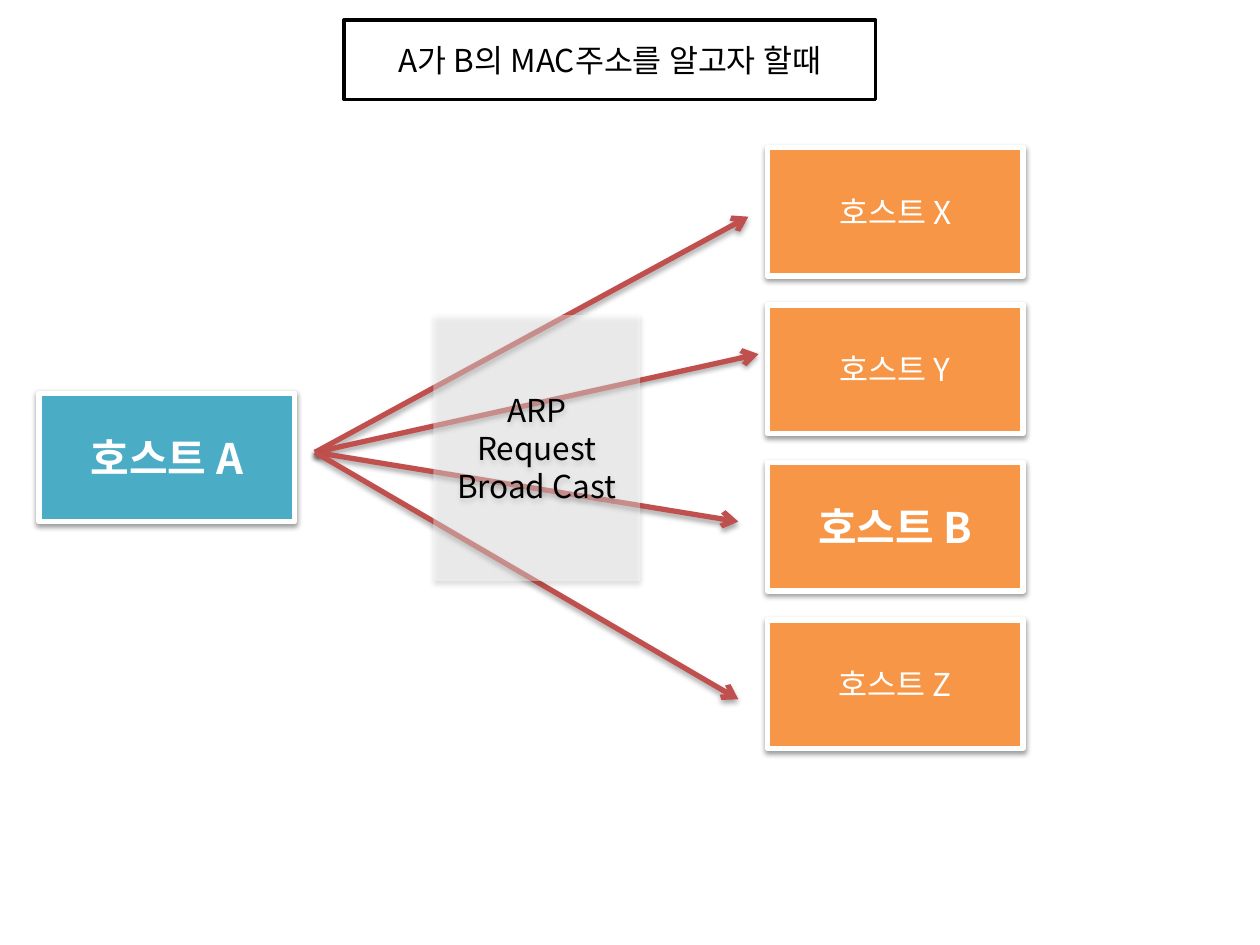
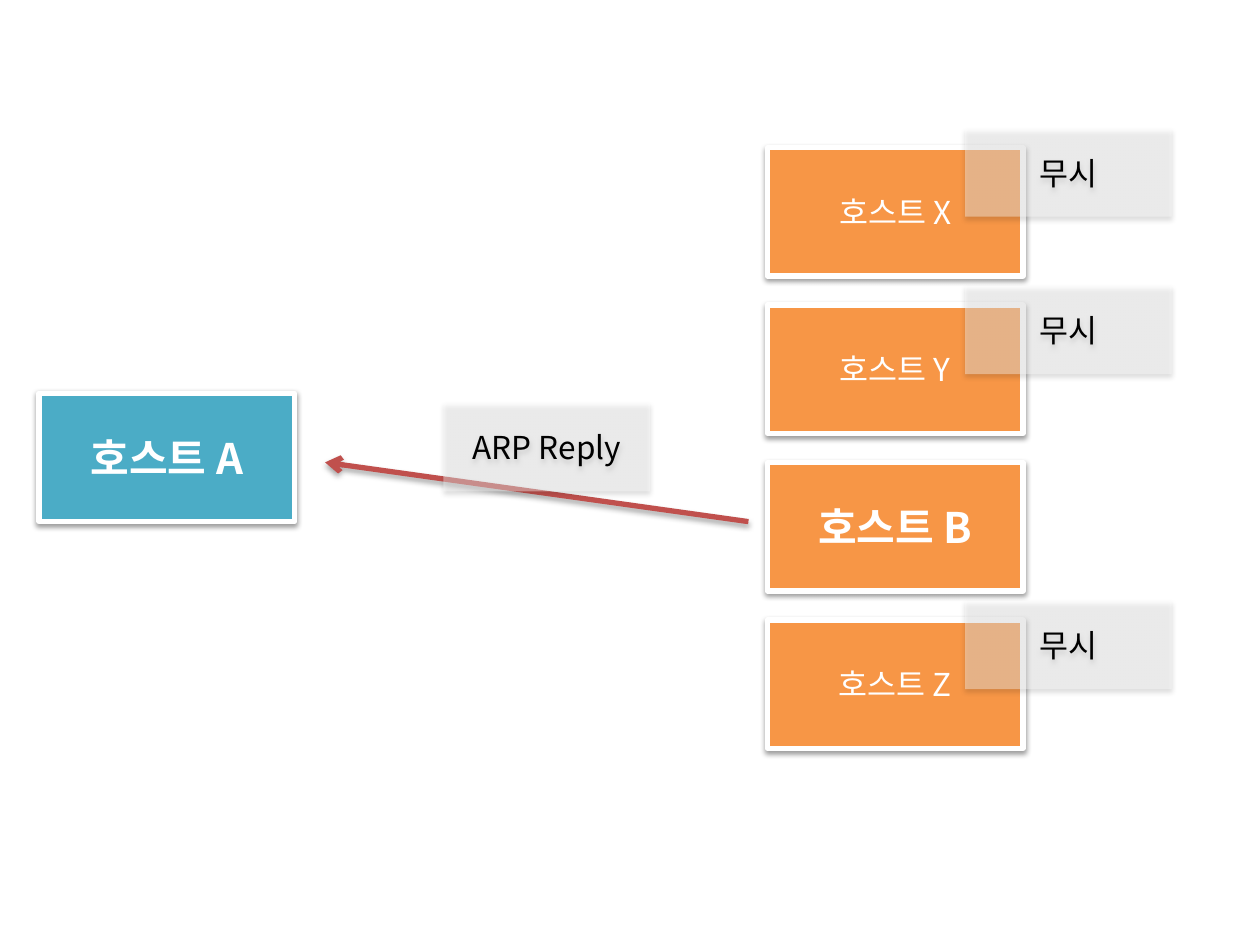
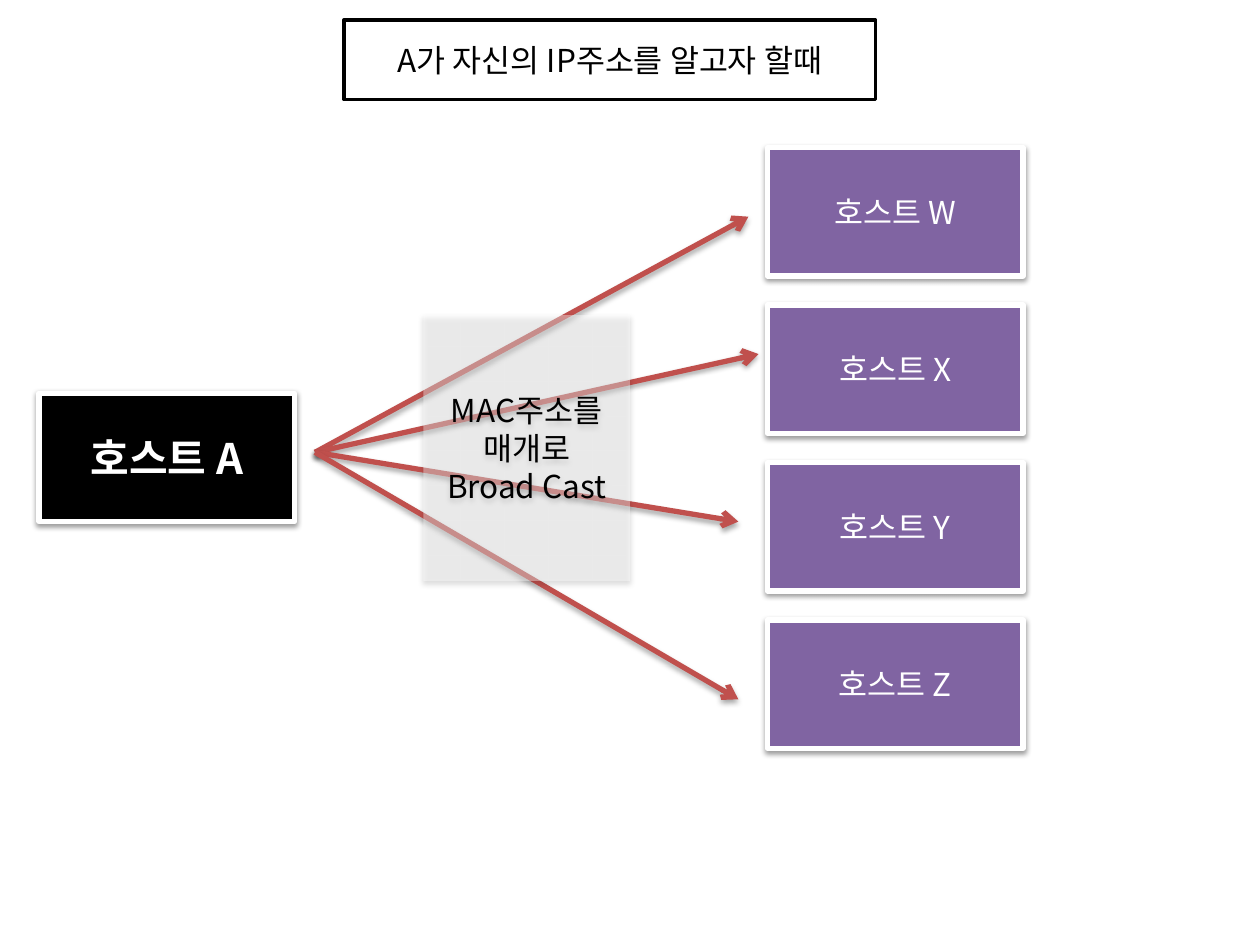
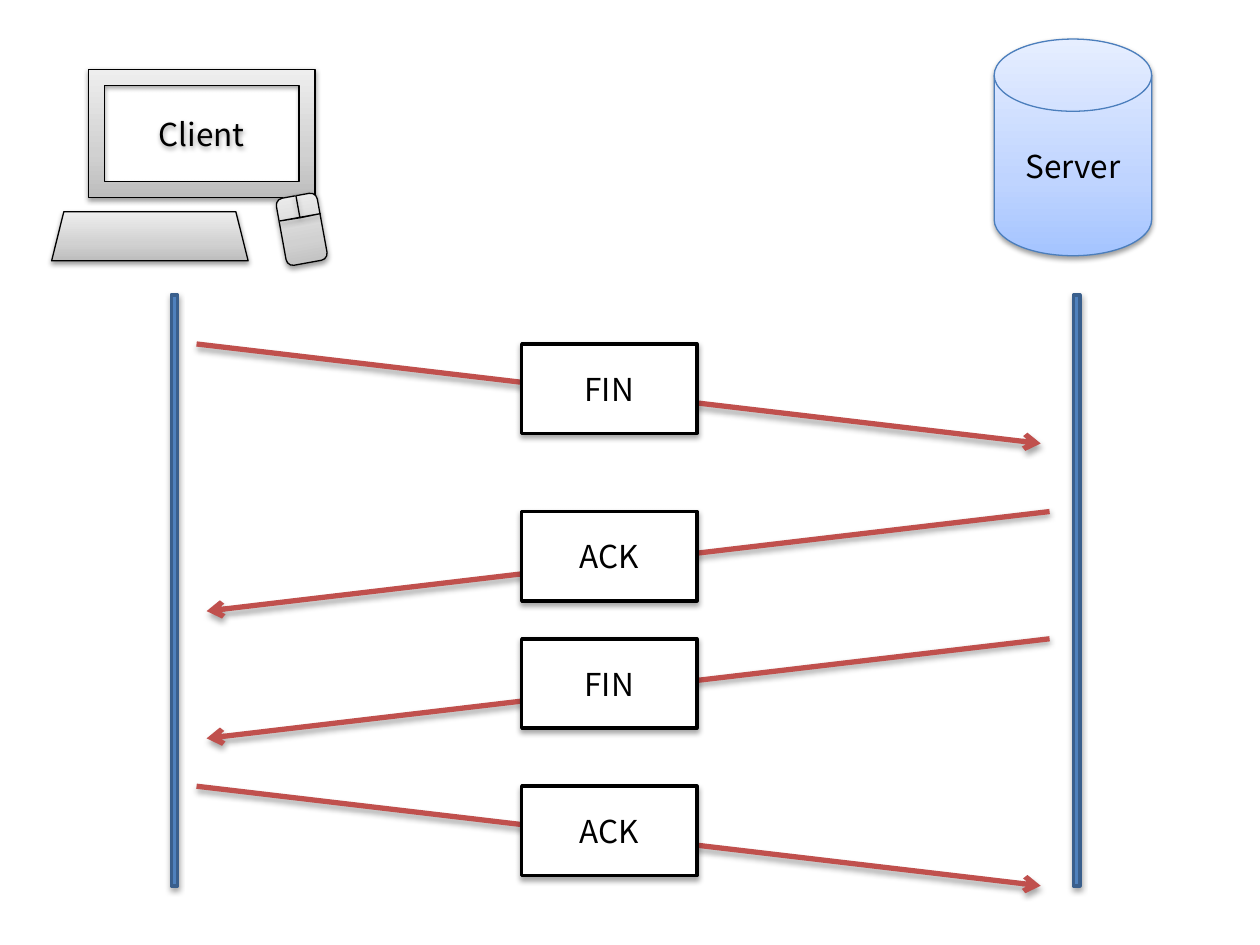
"""Builds four slides on ARP, RARP and closing a TCP connection."""
import collections
import copy

import lxml.etree
import pptx
import pptx.dml.color
import pptx.enum.shapes
import pptx.enum.text
import pptx.oxml.ns
import pptx.util

Inches = pptx.util.Inches
Pt = pptx.util.Pt
RGBColor = pptx.dml.color.RGBColor
MSO_SHAPE = pptx.enum.shapes.MSO_SHAPE
qn = pptx.oxml.ns.qn

FONT = "Noto Sans CJK KR"
WHITE = RGBColor(0xFF, 0xFF, 0xFF)
BLACK = RGBColor(0, 0, 0)
TEAL = RGBColor(0x4B, 0xAC, 0xC6)
ORANGE = RGBColor(0xF7, 0x96, 0x46)
PURPLE = RGBColor(0x80, 0x64, 0xA2)
RED = RGBColor(0xC0, 0x50, 0x4D)
BLUE = RGBColor(0x4F, 0x81, 0xBD)
DARK_BLUE = RGBColor(0x3A, 0x5F, 0x8C)
SERVER_LINE = RGBColor(0x4B, 0x7E, 0xBC)
SERVER_SHADES = (RGBColor(0xA4, 0xC4, 0xFF), RGBColor(0xBF, 0xD4, 0xFF), RGBColor(0xE6, 0xEE, 0xFF))
GREY_SHADES = (RGBColor(0xBD, 0xBD, 0xBD), RGBColor(0xD1, 0xD1, 0xD1), RGBColor(0xEE, 0xEE, 0xEE))
SHADE_POSITIONS = (0, 0.35, 1)

SOLID_SHADOW = (38, Pt(1.6))
SOFT_SHADOW = (35, Pt(1.8))
SHADOW_BLUR = Pt(3.1)
MOUSE_TILT = -10.3
TITLE_LAYOUT = 5
BLANK_LAYOUT = 6

Box = collections.namedtuple("Box", "left top width height")


def inch_box(left, top, width, height):
    """Return a box given in inches."""
    return Box(Inches(left), Inches(top), Inches(width), Inches(height))


def part_of(box, left, top, width, height):
    """Return a box whose corner is offset in inches from the corner of another."""
    return Box(box.left + Inches(left), box.top + Inches(top), Inches(width), Inches(height))


TITLE_BOX = inch_box(2.73, 0.16, 4.22, 0.63)
SENDER_BOX = inch_box(0.31, 3.12, 2.03, 1.02)
HOSTS_BOX = inch_box(6.09, 1.17, 2.03, 4.77)
FAN_BOX = inch_box(2.5, 1.72, 3.52, 3.83)


def add_shadow(shape, opacity, distance):
    """Give a shape or connector a soft shadow falling straight down."""
    effects = lxml.etree.SubElement(shape._element.spPr, qn("a:effectLst"))
    shadow = lxml.etree.SubElement(
        effects, qn("a:outerShdw"), blurRad=str(SHADOW_BLUR), dist=str(distance),
        dir="5400000", rotWithShape="0")
    color = lxml.etree.SubElement(shadow, qn("a:srgbClr"), val=str(BLACK))
    lxml.etree.SubElement(color, qn("a:alpha"), val=str(opacity * 1000))


def write_text(shape, text, color=BLACK, size=18, bold=False):
    """Write centred text in the middle of a shape."""
    frame = shape.text_frame
    frame.text = text
    frame.word_wrap = True
    frame.vertical_anchor = pptx.enum.text.MSO_ANCHOR.MIDDLE
    for paragraph in frame.paragraphs:
        paragraph.alignment = pptx.enum.text.PP_ALIGN.CENTER
        font = paragraph.font
        font.name, font.size, font.bold = FONT, Pt(size), bold
        font.color.rgb = color
        lxml.etree.SubElement(font._element, qn("a:ea"), typeface=FONT)


def set_colors(shape, fill, line=None, width=0):
    """Give a shape a plain fill and an outline, or no outline."""
    shape.fill.solid()
    shape.fill.fore_color.rgb = fill
    if line is None:
        shape.line.fill.background()
    else:
        shape.line.color.rgb = line
        shape.line.width = Pt(width)


def add_plain(slide, box, fill, line=None, width=0):
    """Add a rectangle without a shadow of its own."""
    shape = slide.shapes.add_shape(MSO_SHAPE.RECTANGLE, *box)
    set_colors(shape, fill, line, width)
    return shape


def add_shaded(shapes, kind, box, shades, line):
    """Add a shape with an upward gradient and a thin outline."""
    shape = shapes.add_shape(kind, *box)
    shape.fill.gradient()
    shape.fill.gradient_angle = 90
    stops = shape._element.spPr.find(".//" + qn("a:gsLst"))
    stops.insert(1, copy.deepcopy(stops[0]))
    for stop, position, shade in zip(shape.fill.gradient_stops, SHADE_POSITIONS, shades):
        stop.position = position
        stop.color.rgb = shade
    shape.line.color.rgb = line
    shape.line.width = Pt(0.75)
    add_shadow(shape, *SOLID_SHADOW)
    return shape


def add_arrow(slide, start, end):
    """Add a red arrow between two points."""
    arrow = slide.shapes.add_connector(
        pptx.enum.shapes.MSO_CONNECTOR.STRAIGHT, *start, *end)
    arrow.line.color.rgb = RED
    arrow.line.width = Pt(3)
    lxml.etree.SubElement(arrow.line._get_or_add_ln(), qn("a:tailEnd"), type="arrow")
    add_shadow(arrow, *SOFT_SHADOW)


def add_note(slide, box, text):
    """Add a translucent label."""
    note = add_plain(slide, box, WHITE)
    color = note._element.spPr.find(qn("a:solidFill"))[0]
    lxml.etree.SubElement(color, qn("a:alpha"), val="39000")
    add_shadow(note, *SOFT_SHADOW)
    write_text(note, text)


def add_title(slide, box, text):
    """Turn the title placeholder into a framed heading."""
    title = slide.shapes.title
    title.left, title.top, title.width, title.height = box
    set_colors(title, WHITE, BLACK, 2)
    write_text(title, text)
    title.text_frame.auto_size = pptx.enum.text.MSO_AUTO_SIZE.NONE


def add_host(slide, box, name, fill, main=False):
    """Add one host; a main host has large bold text."""
    host = add_plain(slide, box, fill, WHITE, 3)
    add_shadow(host, *SOLID_SHADOW)
    write_text(host, "호스트 " + name, WHITE, 24 if main else 18, main)


def add_hosts(slide, box, names, fill, main=None, note=None):
    """Stack hosts evenly down a box, with a note on all but the main one."""
    height = Inches(1.02)
    pitch = (box.height - height) // (len(names) - 1)
    host_boxes = [Box(box.left, box.top + i * pitch, box.width, height)
                  for i in range(len(names))]
    for name, host_box in zip(names, host_boxes):
        add_host(slide, host_box, name, fill, name == main)
    for name, host_box in zip(names, host_boxes):
        if note and name != main:
            add_note(slide, part_of(host_box, 1.57, -0.15, 1.64, 0.7), note)


def add_broadcast(slide, box, note_left, text):
    """Fan four arrows out from the left of a box and label them."""
    start = (box.left, box.top + Inches(1.87))
    for right, down in ((3.44, 0), (3.52, 1.09), (3.36, 2.42), (3.36, 3.83)):
        add_arrow(slide, start, (box.left + Inches(right), box.top + Inches(down)))
    add_note(slide, part_of(box, note_left, 0.78, 1.64, 2.11), text)


def add_computer(slide, box, name):
    """Draw a computer with screen, keyboard and mouse."""
    screen = add_shaded(slide.shapes, MSO_SHAPE.FRAME,
                        part_of(box, 0.29, 0, 1.8, 1.02), GREY_SHADES, BLACK)
    write_text(screen, name)
    add_shaded(slide.shapes, MSO_SHAPE.TRAPEZOID,
               part_of(box, 0, 1.13, 1.56, 0.39), GREY_SHADES, BLACK)
    mouse = slide.shapes.add_group_shape()
    body = add_shaded(mouse.shapes, MSO_SHAPE.ROUNDED_RECTANGLE,
                      part_of(box, 1.82, 1, 0.33, 0.54), GREY_SHADES, BLACK)
    buttons = add_shaded(mouse.shapes, MSO_SHAPE.DOWN_ARROW,
                         part_of(box, 1.79, 1, 0.33, 0.18), GREY_SHADES, BLACK)
    buttons.adjustments[0] = 0
    buttons.adjustments[1] = 0.019
    body.rotation = buttons.rotation = MOUSE_TILT


def add_server(slide, box, name):
    """Draw a server as a disk."""
    server = add_shaded(slide.shapes, MSO_SHAPE.FLOWCHART_MAGNETIC_DISK, box,
                        SERVER_SHADES, SERVER_LINE)
    write_text(server, name)


def add_exchange(slide, box, messages):
    """Draw two lifelines at the sides of a box and the messages between them."""
    rail = Inches(0.05)
    for left in (box.left, box.left + box.width - rail):
        add_plain(slide, Box(left, box.top, rail, box.height), BLUE, DARK_BLUE, 2)
    for text, down, to_server in messages:
        start, end = (0.2, 6.9) if to_server else (6.97, 0.28)
        top = box.top + Inches(down)
        add_arrow(slide, (box.left + Inches(start), top),
                  (box.left + Inches(end), top + Inches(0.79)))
        label = add_plain(slide, part_of(box, 2.78, down, 1.39, 0.71), WHITE, BLACK, 2)
        write_text(label, text)


def add_request_slide(presentation, title, sender_fill, hosts, note_left, note):
    """Add a slide on which host A broadcasts to four hosts."""
    slide = presentation.slides.add_slide(presentation.slide_layouts[TITLE_LAYOUT])
    add_title(slide, TITLE_BOX, title)
    add_host(slide, SENDER_BOX, "A", sender_fill, True)
    add_hosts(slide, HOSTS_BOX, *hosts)
    add_broadcast(slide, FAN_BOX, note_left, note)


def add_reply_slide(presentation):
    """Add the slide on which only host B answers."""
    slide = presentation.slides.add_slide(presentation.slide_layouts[BLANK_LAYOUT])
    add_host(slide, SENDER_BOX, "A", TEAL, True)
    add_hosts(slide, HOSTS_BOX, "XYBZ", ORANGE, "B", "무시")
    add_arrow(slide, (Inches(5.94), Inches(4.14)), (Inches(2.58), Inches(3.67)))
    add_note(slide, inch_box(3.52, 3.2, 1.64, 0.7), "ARP Reply")


def add_closing_slide(presentation):
    """Add the slide on which client and server close a connection."""
    slide = presentation.slides.add_slide(presentation.slide_layouts[BLANK_LAYOUT])
    add_server(slide, inch_box(7.89, 0.31, 1.25, 1.72), "Server")
    add_computer(slide, inch_box(0.41, 0.55, 2.15, 1.54), "Client")
    add_exchange(slide, inch_box(1.36, 2.34, 7.21, 4.69), (
        ("FIN", 0.39, True), ("ACK", 1.72, False),
        ("FIN", 2.73, False), ("ACK", 3.9, True)))


def main():
    """Build and save the presentation."""
    presentation = pptx.Presentation()
    presentation.slide_width = Inches(10)
    presentation.slide_height = Inches(7.5)
    add_request_slide(presentation, "A가 B의 MAC주소를 알고자 할때", TEAL,
                      ("XYBZ", ORANGE, "B"), 0.94, "ARP Request\nBroad Cast")
    add_reply_slide(presentation)
    add_request_slide(presentation, "A가 자신의 IP주소를 알고자 할때", BLACK,
                      ("WXYZ", PURPLE), 0.86, "MAC주소를 매개로\nBroad Cast")
    add_closing_slide(presentation)
    presentation.save("out.pptx")


main()
